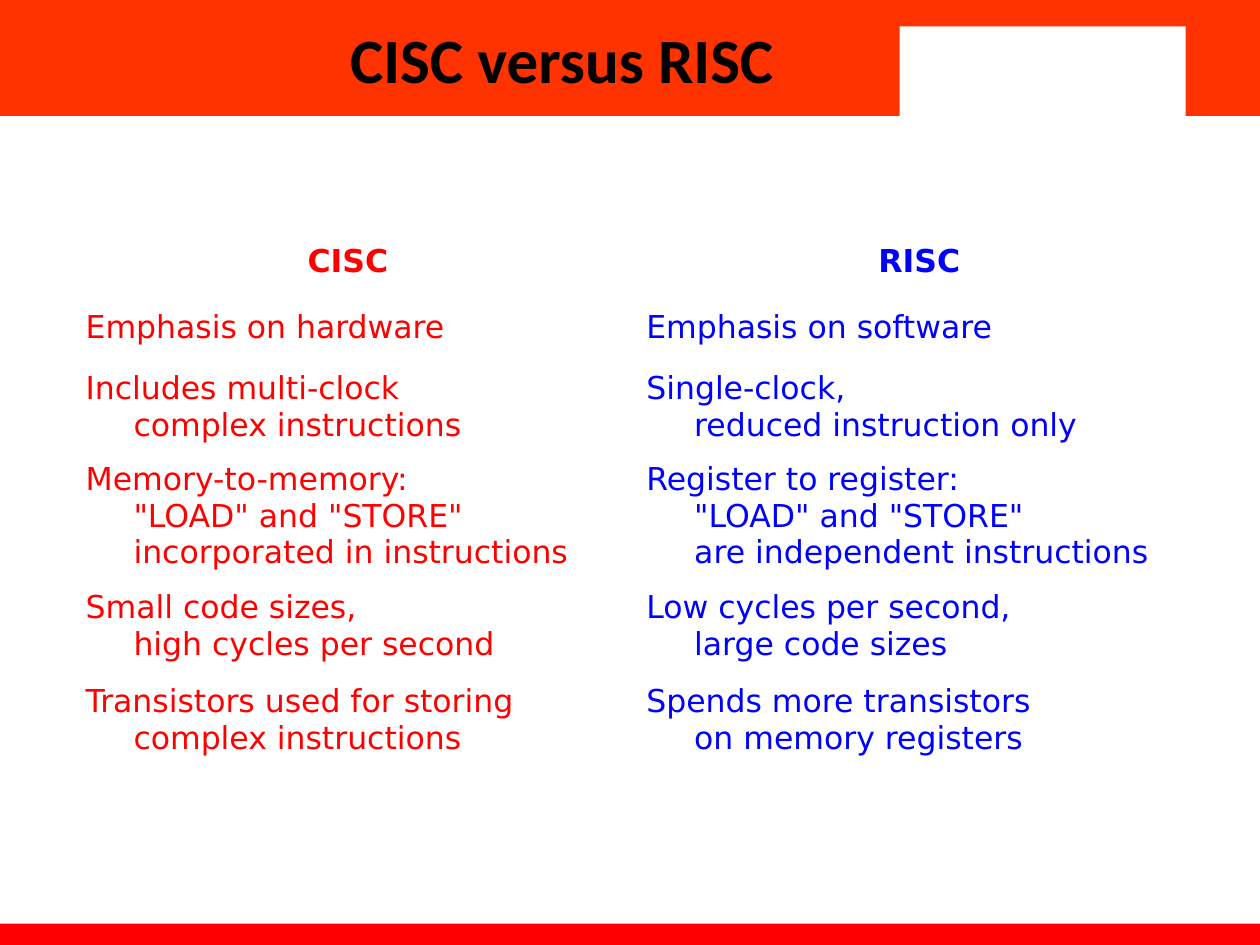
from typing import NamedTuple

from pptx import Presentation
from pptx.dml.color import RGBColor
from pptx.enum.shapes import MSO_SHAPE as Shape
from pptx.enum.text import MSO_ANCHOR as Anchor, PP_ALIGN as Align
from pptx.util import Inches, Pt

COLORS = {
    "band": "FF3300",
    "red": "FF0000",
    "blue": "0000FF",
    "white": "FFFFFF",
    "black": "000000",
}


class Bar(NamedTuple):
    left: float
    top: float
    width: float
    height: float
    color: str


class Column(NamedTuple):
    width: float
    color: str
    texts: list[str]


BARS = [
    Bar(0, 0, 10, 0.92, "band"),
    Bar(0, 7.33, 10, 0.22, "red"),
    Bar(6.72, 0, 3.28, 0.92, "band"),
    Bar(7.14, 0.21, 2.27, 0.75, "white"),
]
ROW_HEIGHTS = [0.52, 0.52, 0.74, 1, 0.74, 0.75]
COLUMNS = [
    Column(4.45, "red", [
        "CISC ",
        "Emphasis on hardware",
        "Includes multi-clock\ncomplex instructions",
        'Memory-to-memory:\n"LOAD" and "STORE"\nincorporated in instructions',
        "Small code sizes,\nhigh cycles per second",
        "Transistors used for storing\ncomplex instructions",
    ]),
    Column(4.62, "blue", [
        "RISC ",
        "Emphasis on software",
        "Single-clock,\nreduced instruction only",
        'Register to register:\n"LOAD" and "STORE"\nare independent instructions',
        "Low cycles per second,\nlarge code sizes",
        "Spends more transistors\non memory registers",
    ]),
]


def rgb(name: str) -> RGBColor:
    return RGBColor.from_string(COLORS[name])


def set_font(p, name: str, size: int, color: str, bold: bool) -> None:
    p.font.name = name
    p.font.size = Pt(size)
    p.font.bold = bold
    p.font.color.rgb = rgb(color)


def draw_bar(s, bar: Bar) -> None:
    sp = s.shapes.add_shape(Shape.RECTANGLE, *(Inches(v) for v in bar[:4]))
    sp.shadow.inherit = False
    sp.fill.solid()
    sp.fill.fore_color.rgb = rgb(bar.color)
    sp.line.fill.background()


def draw_title(s, text: str) -> None:
    sp = s.shapes.add_textbox(Inches(2.68), Inches(0), Inches(4.37), Inches(0.92))
    tf = sp.text_frame
    tf.word_wrap = True
    tf.vertical_anchor = Anchor.MIDDLE
    p = tf.paragraphs[0]
    p.text = text
    set_font(p, "Calibri", 36, "black", True)


def fill_cell(cell, text: str, color: str, header: bool) -> None:
    cell.fill.background()
    cell.vertical_anchor = Anchor.MIDDLE
    p = cell.text_frame.paragraphs[0]
    p.text = text
    p.alignment = Align.CENTER if header else Align.LEFT
    set_font(p, "DejaVu Sans", 18, color, header)
    pPr = p._p.get_or_add_pPr()
    pPr.set("marL", str(Inches(0.38)))
    pPr.set("indent", str(Inches(-0.38)))


def draw_table(s, columns: list[Column]) -> None:
    width = sum(column.width for column in columns)
    frame = s.shapes.add_table(len(ROW_HEIGHTS), len(columns), Inches(0.58),
                               Inches(1.82), Inches(width), Inches(sum(ROW_HEIGHTS)))
    table = frame.table
    table.first_row = False
    table.horz_banding = False
    for row, height in zip(table.rows, ROW_HEIGHTS):
        row.height = Inches(height)
    for c, column in enumerate(columns):
        table.columns[c].width = Inches(column.width)
        for r, text in enumerate(column.texts):
            fill_cell(table.cell(r, c), text, column.color, r == 0)


def main() -> None:
    """Build the CISC versus RISC comparison slide."""
    prs = Presentation()
    prs.slide_width, prs.slide_height = Inches(10), Inches(7.5)
    s = prs.slides.add_slide(prs.slide_layouts[6])
    for bar in BARS:
        draw_bar(s, bar)
    draw_title(s, "CISC versus RISC")
    draw_table(s, COLUMNS)
    prs.save("out.pptx")


if __name__ == "__main__":
    main()
